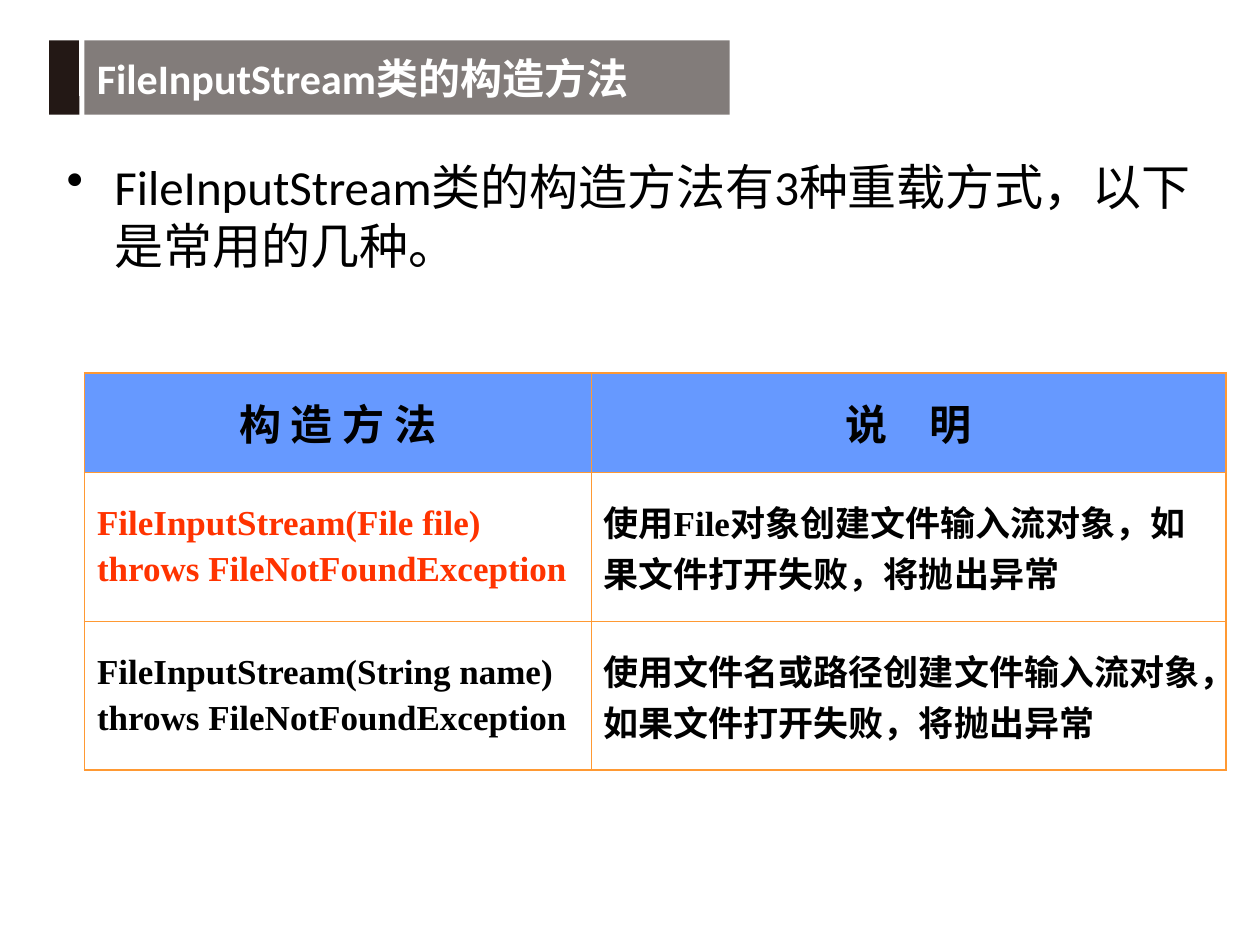
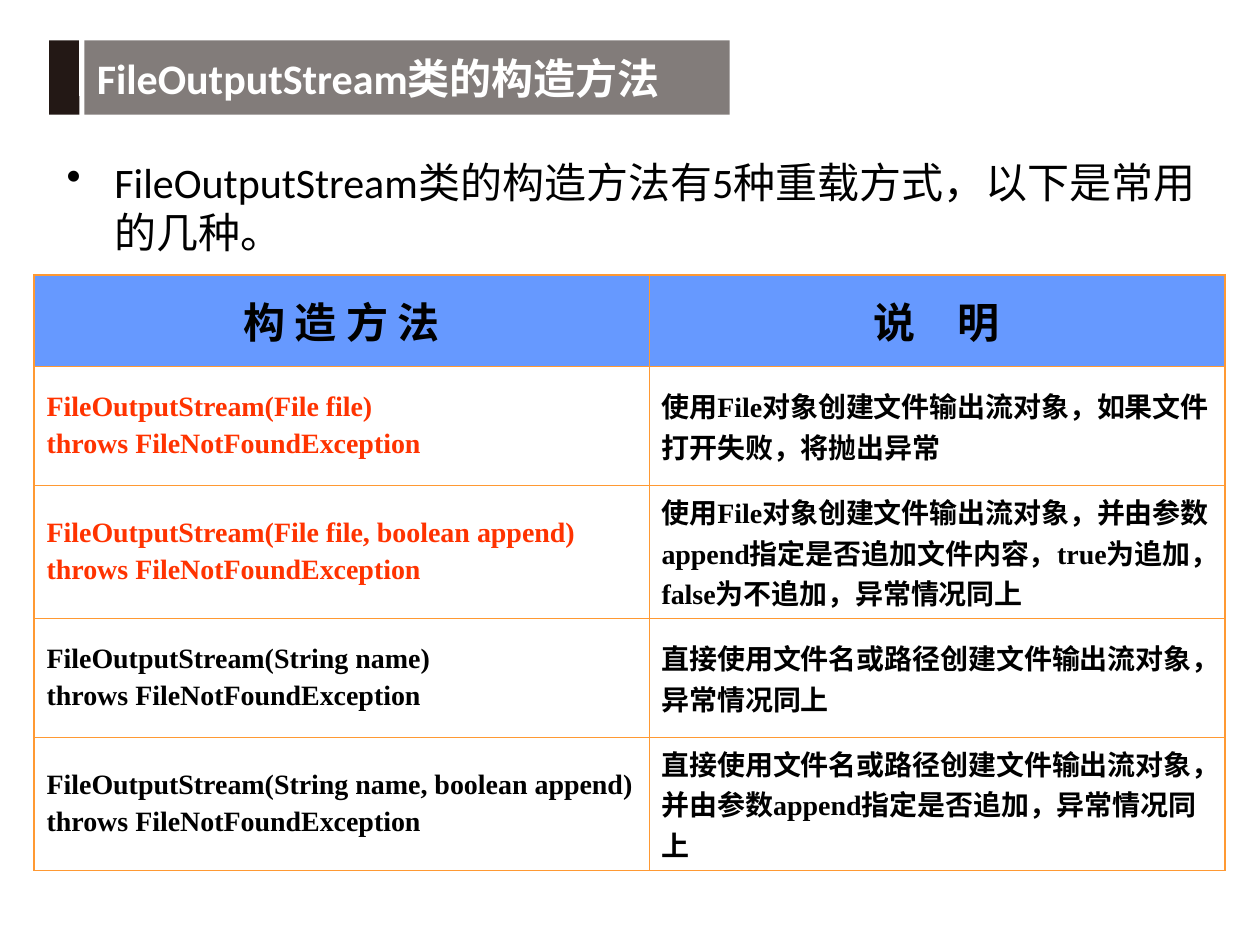
from dataclasses import dataclass

from lxml import etree
from pptx import Presentation
from pptx.dml.color import RGBColor
from pptx.enum import shapes, text
from pptx.oxml import ns
from pptx.util import Inches, Pt


@dataclass(frozen=True)
class Theme:
    ink: str = "000000"
    paper: str = "FFFFFF"
    tab: str = "231815"
    band: str = "827C7A"
    header: str = "6699FF"
    grid: str = "FF9933"
    accent: str = "FF3300"
    body_font: str = "Calibri"
    header_font: str = "Courier New"
    cell_font: str = "Times New Roman"
    heading_size: int = 24
    outer_line: float = 1.08
    inner_line: float = 0.45


theme = Theme()
THROWS = "throws FileNotFoundException"
HEADINGS = ("构 造 方 法", "说　明")

# Each row: constructor, description, highlighted
topics = [
    {
        "title": "FileInputStream类的构造方法",
        "intro": "FileInputStream类的构造方法有3种重载方式，以下是常用的几种。",
        "intro_size": 28, "cell_size": 20,
        "left": 0.67, "top": 2.96,
        "columns": (4.02, 5.04), "heights": (0.79, 1.18, 1.18),
        "rows": [
            ("FileInputStream(File file)",
             "使用File对象创建文件输入流对象，如果文件打开失败，将抛出异常", True),
            ("FileInputStream(String name)",
             "使用文件名或路径创建文件输入流对象，如果文件打开失败，将抛出异常", False),
        ],
    },
    {
        "title": "FileOutputStream类的构造方法",
        "intro": "FileOutputStream类的构造方法有5种重载方式，以下是常用的几种。",
        "intro_size": 24, "cell_size": 16,
        "left": 0.27, "top": 2.18,
        "columns": (4.88, 4.57), "heights": (0.73, 0.94, 1.06, 0.94, 1.06),
        "rows": [
            ("FileOutputStream(File file)",
             "使用File对象创建文件输出流对象，如果文件打开失败，将抛出异常", True),
            ("FileOutputStream(File file, boolean append)",
             "使用File对象创建文件输出流对象，并由参数append指定是否追加文件内容，"
             "true为追加，false为不追加，异常情况同上", True),
            ("FileOutputStream(String name)",
             "直接使用文件名或路径创建文件输出流对象，异常情况同上", False),
            ("FileOutputStream(String name, boolean append)",
             "直接使用文件名或路径创建文件输出流对象，并由参数append指定是否追加，"
             "异常情况同上", False),
        ],
    },
]


def write(frame, lines, size, font, color, bold=True, align=text.PP_ALIGN.LEFT):
    """Fill a text frame with equally formatted paragraphs."""
    frame.word_wrap = True
    for index, line in enumerate(lines):
        para = frame.add_paragraph() if index else frame.paragraphs[0]
        para.alignment = align
        if index:
            para.space_before = Pt(size * 0.2)
        span = para.add_run()
        span.text = line
        span.font.color.rgb = RGBColor.from_string(color)
        for name, value in {"size": Pt(size), "name": font, "bold": bold}.items():
            setattr(span.font, name, value)


def set_border(cell, side, width):
    """Draw one side (L, R, T or B) of a cell."""
    properties = cell._tc.get_or_add_tcPr()
    line = etree.SubElement(properties, ns.qn(f"a:ln{side}"), w=str(int(Pt(width))))
    fill = etree.SubElement(line, ns.qn("a:solidFill"))
    etree.SubElement(fill, ns.qn("a:srgbClr"), val=theme.grid)


deck = Presentation()
deck.slide_width, deck.slide_height = Inches(10), Inches(7.5)

for topic in topics:
    page = deck.slides.add_slide(deck.slide_layouts[6])

    # Title band with its dark tab
    for left, width, color in ((0.39, 0.24, theme.tab), (0.67, 5.12, theme.band)):
        box = page.shapes.add_shape(shapes.MSO_SHAPE.RECTANGLE, Inches(left),
                                    Inches(0.32), Inches(width), Inches(0.59))
        box.shadow.inherit = False
        box.fill.solid()
        box.fill.fore_color.rgb = RGBColor.from_string(color)
        box.line.fill.background()
    box.text_frame.vertical_anchor = text.MSO_ANCHOR.MIDDLE
    write(box.text_frame, [topic["title"]], theme.heading_size,
          theme.body_font, theme.paper)

    divider = page.shapes.add_connector(shapes.MSO_CONNECTOR.STRAIGHT, Inches(0.63),
                                        Inches(0.32), Inches(0.63), Inches(0.76))
    divider.line.color.rgb = RGBColor.from_string(theme.paper)
    divider.line.width = Pt(0.75)
    etree.SubElement(divider._element.spPr, ns.qn("a:effectLst"))

    # Bulleted introduction
    intro = page.shapes.add_textbox(Inches(0.43), Inches(1.19),
                                    Inches(9.18), Inches(5.71))
    bullet = intro.text_frame.paragraphs[0]._p.get_or_add_pPr()
    bullet.set("marL", str(Inches(0.38)))
    bullet.set("indent", str(-Inches(0.38)))
    etree.SubElement(bullet, ns.qn("a:buChar"), char="•")
    write(intro.text_frame, [topic["intro"]], topic["intro_size"],
          theme.body_font, theme.ink, bold=False)

    # Constructor table
    columns, heights = topic["columns"], topic["heights"]
    table = page.shapes.add_table(
        len(heights), len(columns), Inches(topic["left"]), Inches(topic["top"]),
        Inches(sum(columns)), Inches(sum(heights))).table
    table.first_row = table.horz_banding = False
    for column, width in zip(table.columns, columns):
        column.width = Inches(width)
    for row, height in zip(table.rows, heights):
        row.height = Inches(height)

    for r in range(len(heights)):
        for c in range(len(columns)):
            cell = table.cell(r, c)
            cell.vertical_anchor = text.MSO_ANCHOR.MIDDLE
            outer_sides = {"L": c == 0, "R": c == len(columns) - 1,
                           "T": r == 0, "B": r == len(heights) - 1}
            for side, outer in outer_sides.items():
                set_border(cell, side, theme.outer_line if outer else theme.inner_line)
            cell.fill.solid()
            cell.fill.fore_color.rgb = RGBColor.from_string(
                theme.paper if r else theme.header)
            if r == 0:
                write(cell.text_frame, [HEADINGS[c]], theme.heading_size,
                      theme.header_font, theme.ink, align=text.PP_ALIGN.CENTER)
                continue
            constructor, description, highlighted = topic["rows"][r - 1]
            lines = [description] if c else [constructor, THROWS]
            color = theme.accent if highlighted and c == 0 else theme.ink
            write(cell.text_frame, lines, topic["cell_size"], theme.cell_font, color)

deck.save("out.pptx")
